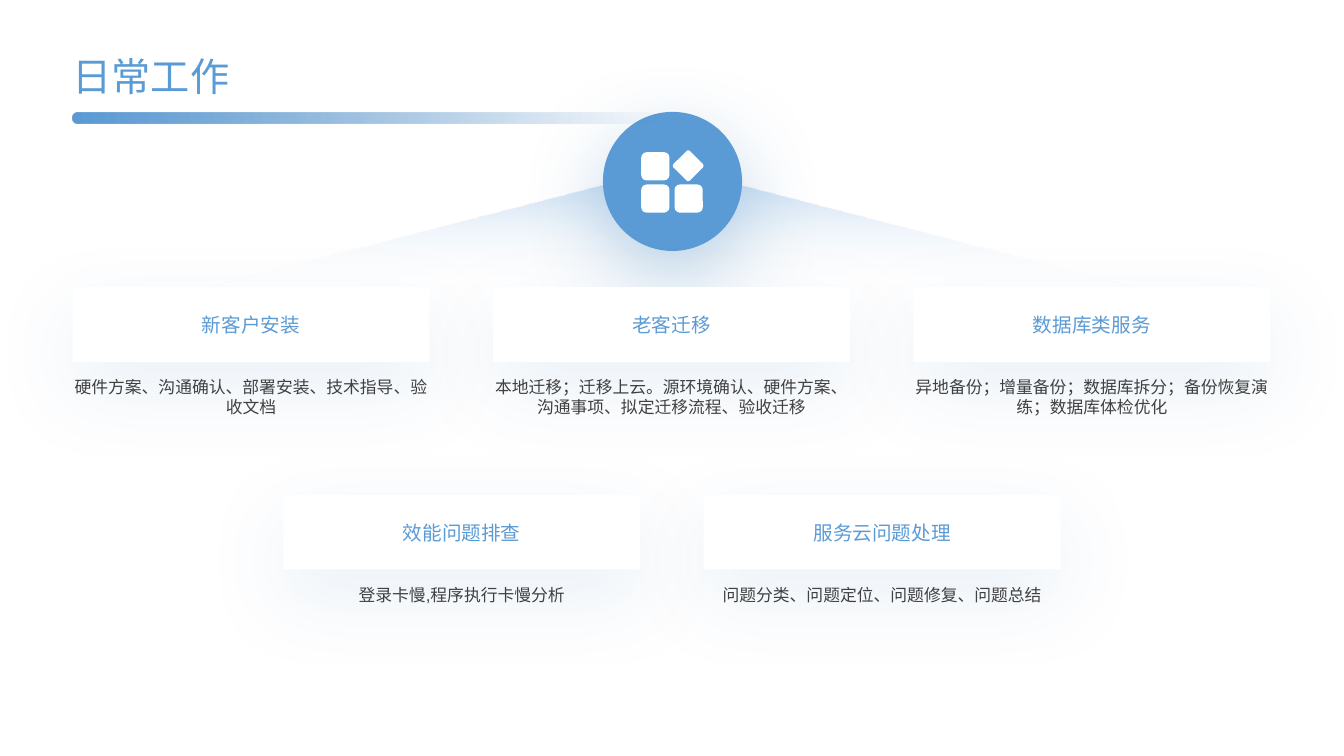
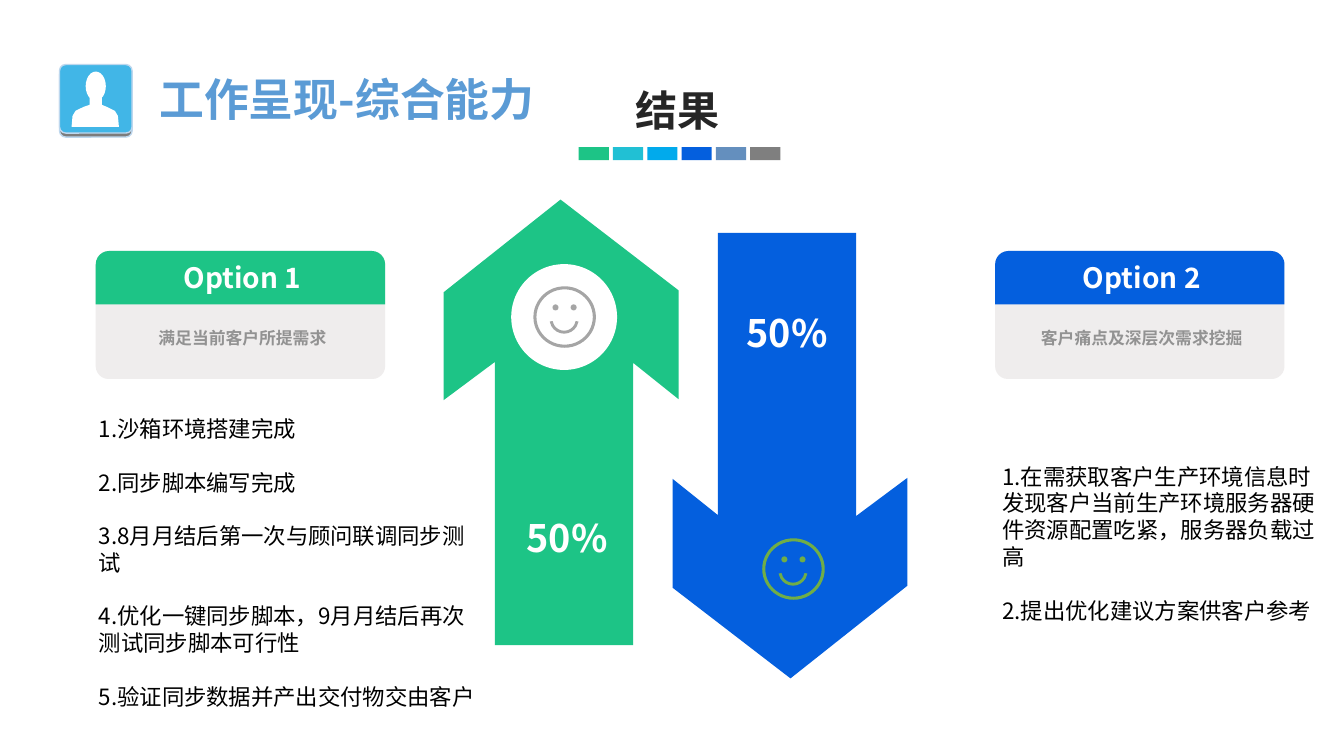
import pptx
import pptx.util
import pptx.dml.color
import pptx.enum.shapes
import pptx.enum.text
import pptx.oxml
import pptx.oxml.ns

Inches = pptx.util.Inches
Pt = pptx.util.Pt
RGB = pptx.dml.color.RGBColor
SHAPE = pptx.enum.shapes.MSO_SHAPE
ALIGN = pptx.enum.text.PP_ALIGN
ANCHOR = pptx.enum.text.MSO_ANCHOR

BLUE = RGB(0x5B, 0x9B, 0xD5)
DEEP_BLUE = RGB(0x2E, 0x75, 0xB6)
PALE_BLUE = RGB(0xBD, 0xD7, 0xEE)
SKY = RGB(0x41, 0xB6, 0xE7)
GREEN = RGB(0x1D, 0xC4, 0x86)
TEAL = RGB(0x21, 0xC0, 0xD4)
CYAN = RGB(0x01, 0xAA, 0xEC)
ROYAL = RGB(0x04, 0x5F, 0xDE)
STEEL = RGB(0x64, 0x8F, 0xBE)
LEAF = RGB(0x70, 0xAD, 0x47)
WHITE = RGB(0xFF, 0xFF, 0xFF)
BLACK = RGB(0, 0, 0)
INK = RGB(0x26, 0x26, 0x26)
DARK_GRAY = RGB(0x40, 0x40, 0x40)
GRAY = RGB(0x7F, 0x7F, 0x7F)
BADGE_GRAY = RGB(0x7C, 0x7C, 0x7C)
MID_GRAY = RGB(0x92, 0x92, 0x92)
FACE_GRAY = RGB(0xA5, 0xA5, 0xA5)
LIGHT_GRAY = RGB(0xEF, 0xED, 0xED)

NOTO = "Noto Sans CJK SC"
NO_INSET = (0, 0, 0, 0)
BOX_INSET = (0.1, 0.05, 0.1, 0.05)

CARD_W, CARD_H, CARD_PITCH = 3.54, 0.74, 4.17
CARD_ROWS = [
    (0.72, 2.85, [
        ("新客户安装", "硬件方案、沟通确认、部署安装、技术指导、验收文档"),
        ("老客迁移", "本地迁移；迁移上云。源环境确认、硬件方案、沟通事项、拟定迁移流程、验收迁移"),
        ("数据库类服务", "异地备份；增量备份；数据库拆分；备份恢复演练；数据库体检优化"),
    ]),
    (2.81, 4.91, [
        ("效能问题排查", "登录卡慢,程序执行卡慢分析"),
        ("服务云问题处理", "问题分类、问题定位、问题修复、问题总结"),
    ]),
]
ARROW = [(2.33, 0.9), (1.16, 0), (0, 0.92), (0, 1.99), (0.51, 1.61),
         (0.51, 4.42), (1.88, 4.42), (1.88, 1.62), (2.33, 1.98)]
SHOULDERS = [(0.89, 0.95), (0.89, 1.04), (0.83, 1.06), (0.75, 1.1), (0.72, 1.15),
             (0.71, 1.26), (1.18, 1.26), (1.17, 1.15), (1.14, 1.1), (1.06, 1.06),
             (1.01, 1.04), (1.01, 0.95)]
OPTION_1_ITEMS = ["沙箱环境搭建完成", "同步脚本编写完成", "8月月结后第一次与顾问联调同步测试",
                  "优化一键同步脚本，9月月结后再次测试同步脚本可行性",
                  "验证同步数据并产出交付物交由客户"]
OPTION_2_ITEMS = ["在需获取客户生产环境信息时发现客户当前生产环境服务器硬件资源配置吃紧，服务器负载过高",
                  "提出优化建议方案供客户参考"]


def place(sp, x, y, w, h):
    sp.left, sp.top, sp.width, sp.height = (Inches(v) for v in (x, y, w, h))


def add_xml(parent, xml):
    """Append a drawing element, given without its namespace declaration."""
    head, rest = xml.split(">", 1) if not xml.endswith("/>") or xml.count("<") > 1 else (xml[:-2], None)
    ns = " " + pptx.oxml.ns.nsdecls("a")
    el = pptx.oxml.parse_xml(head + ns + (">" + rest if rest is not None else "/>"))
    parent.append(el)
    return el


def set_text(sp, paragraphs, size=12, font=NOTO, color=BLACK, bold=False, align=ALIGN.LEFT,
             anchor=ANCHOR.TOP, inset=BOX_INSET, line=None, gap=0, numbered=False):
    tf = sp.text_frame
    tf.word_wrap = True
    tf.auto_size = pptx.enum.text.MSO_AUTO_SIZE.NONE
    tf.vertical_anchor = anchor
    tf.margin_left, tf.margin_top, tf.margin_right, tf.margin_bottom = (Inches(v) for v in inset)
    if isinstance(paragraphs, str):
        paragraphs = [paragraphs]
    for i, text in enumerate(paragraphs):
        p = tf.paragraphs[0] if i == 0 else tf.add_paragraph()
        p.alignment = align
        p.space_before = Pt(gap if i else 0)
        if line:
            p.line_spacing = line
        if numbered:
            ppr = p._p.get_or_add_pPr()
            ppr.set("marL", "0")
            ppr.set("indent", "0")
            add_xml(ppr, '<a:buAutoNum type="arabicPeriod"/>')
        r = p.add_run()
        r.text = text
        r.font.size, r.font.name, r.font.bold = Pt(size), font, bold
        r.font.color.rgb = color
        if font == NOTO:
            add_xml(r._r.get_or_add_rPr(), f'<a:ea typeface="{NOTO}"/>')


def add_text(s, x, y, w, h, text, **fmt):
    sp = s.shapes.add_textbox(*(Inches(v) for v in (x, y, w, h)))
    set_text(sp, text, **fmt)


def style(sp, fill, line=None):
    sp.shadow.inherit = False
    if fill is not None:
        sp.fill.solid()
        sp.fill.fore_color.rgb = fill
    if line is None:
        sp.line.fill.background()
    else:
        sp.line.color.rgb = line
        sp.line.width = Pt(1)
    return sp


def add_shape(s, kind, x, y, w, h, fill=None, line=None, adj=()):
    sp = s.shapes.add_shape(kind, *(Inches(v) for v in (x, y, w, h)))
    for i, value in enumerate(adj):
        sp.adjustments[i] = value
    return style(sp, fill, line)


def add_outline(s, points, fill, dx=0, dy=0):
    pts = [(Inches(x + dx), Inches(y + dy)) for x, y in points]
    fb = s.shapes.build_freeform(*pts[0])
    fb.add_line_segments(pts[1:], close=True)
    return style(fb.convert_to_shape(), fill)


def fade(sp, stops, angle):
    """Fill with a gradient of (position %, colour, opacity %) stops."""
    gs = "".join(f'<a:gs pos="{pos * 1000}"><a:srgbClr val="{color}">'
                 f'<a:alpha val="{alpha * 1000}"/></a:srgbClr></a:gs>'
                 for pos, color, alpha in stops)
    spPr = sp._element.spPr
    grad = add_xml(spPr, f'<a:gradFill rotWithShape="1"><a:gsLst>{gs}</a:gsLst>'
                         f'<a:lin ang="{angle * 60000}" scaled="0"/></a:gradFill>')
    spPr.find(pptx.oxml.ns.qn("a:prstGeom")).addnext(grad)


def glow(sp, alpha):
    """Cast a soft blue shadow downwards."""
    effects = sp._element.spPr.find(pptx.oxml.ns.qn("a:effectLst"))
    add_xml(effects, f'<a:outerShdw blurRad="{Pt(60)}" dist="{Pt(20)}" dir="5400000" '
                     f'algn="t" rotWithShape="0"><a:srgbClr val="{DEEP_BLUE}">'
                     f'<a:alpha val="{alpha * 1000}"/></a:srgbClr></a:outerShdw>')


def set_title(s, text, x, y, w, h, **fmt):
    title = s.shapes.title
    place(title, x, y, w, h)
    set_text(title, text, color=BLUE, anchor=ANCHOR.MIDDLE, **fmt)


def add_card(s, x, y, heading, detail):
    sp = add_shape(s, SHAPE.RECTANGLE, x, y, CARD_W, CARD_H, WHITE)
    glow(sp, 10)
    set_text(sp, heading, size=14, font="Roboto", color=BLUE, align=ALIGN.CENTER,
             anchor=ANCHOR.MIDDLE, inset=NO_INSET)
    add_text(s, x, y + 0.85, CARD_W, 1.13, detail, font="Arial", color=DARK_GRAY,
             align=ALIGN.CENTER, inset=(0, 0.04, 0, 0.04))


def add_tiles_icon(s):
    for x, y in [(6.36, 1.51), (6.36, 1.83), (6.69, 1.83)]:
        add_shape(s, SHAPE.ROUNDED_RECTANGLE, x, y, 0.28, 0.28, WHITE, adj=[0.19])
    tile = add_shape(s, SHAPE.ROUNDED_RECTANGLE, 6.71, 1.53, 0.23, 0.23, WHITE, adj=[0.1])
    tile.rotation = 45


def add_smiley(s, x, y, color):
    add_shape(s, SHAPE.DONUT, x, y, 0.62, 0.61, color, adj=[0.05])
    for dx in (0.19, 0.37):
        add_shape(s, SHAPE.OVAL, x + dx, y + 0.18, 0.06, 0.06, color)
    # Block arc angles are in units of 1/0.6 degree
    add_shape(s, SHAPE.BLOCK_ARC, x + 0.16, y + 0.18, 0.29, 0.29, color,
              adj=[10 * 0.6, 170 * 0.6, 0.1])


def add_option(s, x, name, summary, color):
    y, w = 2.49, 2.87
    add_shape(s, SHAPE.ROUNDED_RECTANGLE, x, y, w, 1.27, LIGHT_GRAY, adj=[0.1])
    add_shape(s, SHAPE.ROUND_2_SAME_RECTANGLE, x, y, w, 0.53, color, adj=[0.25, 0])
    add_text(s, x + 0.04, y + 0.05, 2.83, 0.44, name, size=20, color=WHITE, bold=True,
             align=ALIGN.CENTER)
    add_text(s, x + 0.04, y + 0.7, 2.83, 0.32, summary, color=MID_GRAY, bold=True,
             align=ALIGN.CENTER, inset=(0.12, 0.06, 0.12, 0.06))


def add_percent(s, x, y):
    add_text(s, x, y, 1.45, 0.56, "50%", size=27, color=WHITE, bold=True, align=ALIGN.CENTER)


def add_person_badge(s):
    for y, fill in [(0.68, BADGE_GRAY), (0.64, SKY)]:
        add_shape(s, SHAPE.ROUNDED_RECTANGLE, 0.59, y, 0.72, 0.68, fill, PALE_BLUE, [0.09])
    add_shape(s, SHAPE.OVAL, 0.85, 0.71, 0.2, 0.29, WHITE)
    add_outline(s, SHOULDERS, WHITE)


def build_daily_work(prs):
    s = prs.slides.add_slide(prs.slide_layouts[5])
    set_title(s, "日常工作", 0.72, 0.55, 11.88, 0.41, size=28, font="Lato", inset=NO_INSET)
    beam = add_shape(s, SHAPE.ISOSCELES_TRIANGLE, 1.32, 1.66, 10.68, 1.37)
    fade(beam, [(0, BLUE, 40), (87, WHITE, 0)], 90)
    hub = add_shape(s, SHAPE.OVAL, 5.98, 1.11, 1.38, 1.38, BLUE)
    glow(hub, 30)
    for left, y, cards in CARD_ROWS:
        for i, (heading, detail) in enumerate(cards):
            add_card(s, left + i * CARD_PITCH, y, heading, detail)
    add_tiles_icon(s)
    rule = add_shape(s, SHAPE.ROUNDED_RECTANGLE, 0.72, 1.12, 7.25, 0.11, adj=[0.5])
    fade(rule, [(0, BLUE, 100), (80, DEEP_BLUE, 0)], 0)


def build_results(prs):
    s = prs.slides.add_slide(prs.slide_layouts[3])
    set_title(s, "工作呈现-综合能力", 1.48, 0.6, 3.97, 0.86, size=32, bold=True, line=0.8)
    add_person_badge(s)
    add_text(s, 4.62, 0.82, 4.2, 0.56, "结果", size=30, color=INK, bold=True,
             align=ALIGN.CENTER, inset=(0.05, 0.02, 0.05, 0.02))
    for i, color in enumerate([GREEN, TEAL, CYAN, ROYAL, STEEL, GRAY]):
        add_shape(s, SHAPE.RECTANGLE, 5.74 + i * 0.34, 1.46, 0.3, 0.13, color)

    add_outline(s, ARROW, GREEN, 4.4, 1.98)
    add_shape(s, SHAPE.OVAL, 5.07, 2.62, 1.05, 1.05, WHITE)
    add_smiley(s, 5.29, 2.84, FACE_GRAY)
    add_percent(s, 4.9, 5.06)
    add_outline(s, ARROW, ROYAL, 6.67, 2.31).rotation = 180
    add_smiley(s, 7.56, 5.34, LEAF)
    add_percent(s, 7.08, 3.02)

    add_option(s, 0.95, "Option 1", "满足当前客户所提需求", GREEN)
    add_option(s, 9.87, "Option 2", "客户痛点及深层次需求挖掘", ROYAL)
    for idx, box, items in [(1, (0.88, 4.07, 4.02, 2.79), OPTION_1_ITEMS),
                            (2, (9.84, 4.54, 3.44, 1.72), OPTION_2_ITEMS)]:
        body = s.placeholders[idx]
        place(body, *box)
        set_text(body, items, size=16, gap=19, numbered=True)


def main():
    prs = pptx.Presentation()
    prs.slide_width, prs.slide_height = Inches(13.33), Inches(7.5)
    build_daily_work(prs)
    build_results(prs)
    prs.save("out.pptx")


if __name__ == "__main__":
    main()
